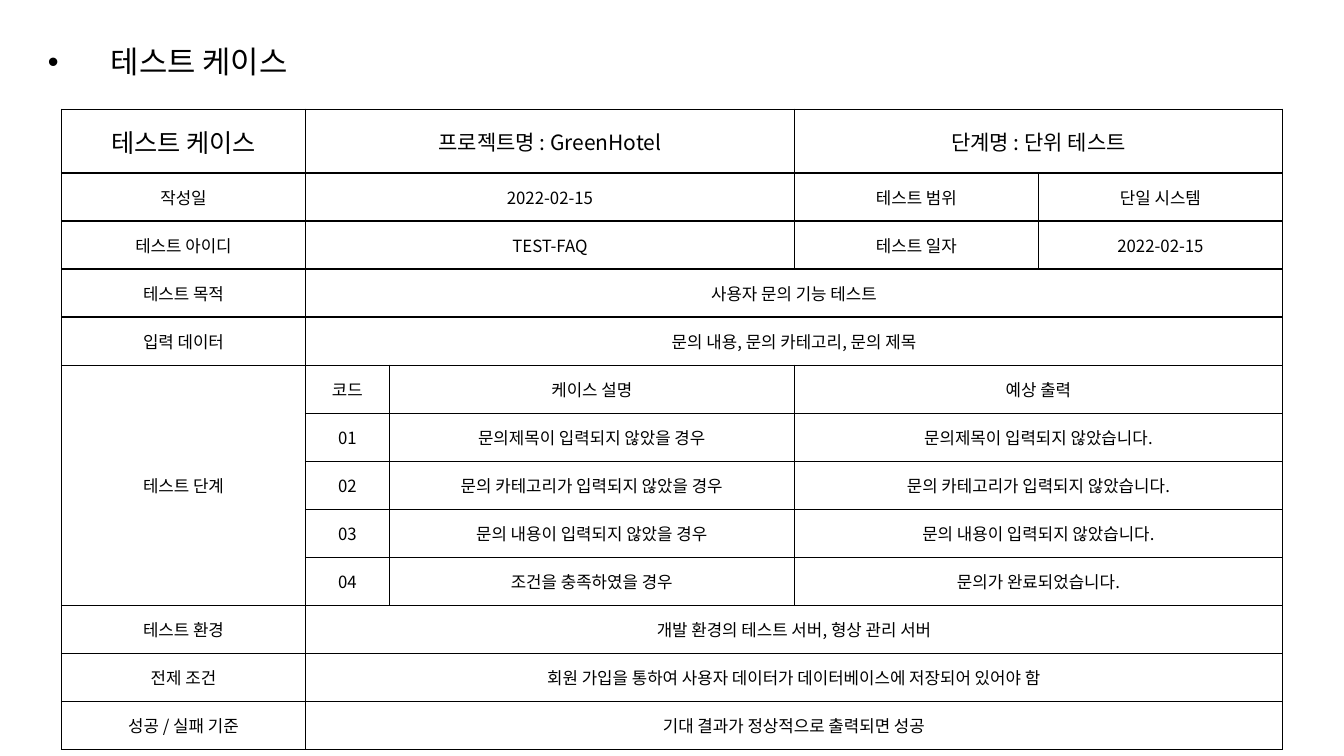
import pptx
import pptx.dml.color
import pptx.enum.text
import pptx.oxml
import pptx.oxml.ns
import pptx.util
from pptx.util import Cm, Pt

BLACK = pptx.dml.color.RGBColor(0x00, 0x00, 0x00)
WHITE = pptx.dml.color.RGBColor(0xFF, 0xFF, 0xFF)
FONT = "Noto Sans CJK KR"
NAMESPACE = pptx.oxml.ns.nsdecls("a")

TITLE_ROW_HEIGHT, ROW_HEIGHT = 1.61, 1.21
COLUMN_WIDTHS = [6.15, 2.11, 10.21, 6.15, 6.15]
TITLE_SIZES = [18, 15, 15, 15, 15]
BODY_SIZE = 12

# LEFT joins a cell to its left neighbour, ABOVE to the one over it
LEFT, ABOVE = "<", "^"


def wide_row(label, value):
    return [label, value, LEFT, LEFT, LEFT]


def step_row(label, code, case, output):
    return [label, code, case, output, LEFT]


ROWS = [
    ["테스트 케이스", "프로젝트명 : GreenHotel", LEFT, "단계명 : 단위 테스트", LEFT],
    ["작성일", "2022-02-15", LEFT, "테스트 범위", "단일 시스템"],
    ["테스트 아이디", "TEST-FAQ", LEFT, "테스트 일자", "2022-02-15"],
    wide_row("테스트 목적", "사용자 문의 기능 테스트"),
    wide_row("입력 데이터", "문의 내용, 문의 카테고리, 문의 제목"),
    step_row("테스트 단계", "코드", "케이스 설명", "예상 출력"),
    step_row(ABOVE, "01", "문의제목이 입력되지 않았을 경우", "문의제목이 입력되지 않았습니다."),
    step_row(ABOVE, "02", "문의 카테고리가 입력되지 않았을 경우", "문의 카테고리가 입력되지 않았습니다."),
    step_row(ABOVE, "03", "문의 내용이 입력되지 않았을 경우", "문의 내용이 입력되지 않았습니다."),
    step_row(ABOVE, "04", "조건을 충족하였을 경우", "문의가 완료되었습니다."),
    wide_row("테스트 환경", "개발 환경의 테스트 서버, 형상 관리 서버"),
    wide_row("전제 조건", "회원 가입을 통하여 사용자 데이터가 데이터베이스에 저장되어 있어야 함"),
    wide_row("성공 / 실패 기준", "기대 결과가 정상적으로 출력되면 성공"),
]


def add_span(para, text, size):
    span = para.add_run()
    span.text = text
    span.font.size = Pt(size)
    span.font.name = FONT
    span.font.color.rgb = BLACK
    east_asian = pptx.oxml.parse_xml(f'<a:ea {NAMESPACE} typeface="{FONT}"/>')
    span.font._element.find(pptx.oxml.ns.qn("a:latin")).addnext(east_asian)


def add_bullet(para, indent):
    properties = para._p.get_or_add_pPr()
    properties.set("marL", str(indent))
    properties.set("indent", str(-indent))
    for xml in ('<a:buFont {} typeface="Arial"/>', '<a:buChar {} char="•"/>'):
        properties.append(pptx.oxml.parse_xml(xml.format(NAMESPACE)))


def place_title(page, text):
    box = page.shapes.title
    box.left, box.top, box.width, box.height = Cm(0.95), Cm(0.45), Cm(30), Cm(2.3)
    frame = box.text_frame
    frame.auto_size = pptx.enum.text.MSO_AUTO_SIZE.NONE
    frame.vertical_anchor = pptx.enum.text.MSO_ANCHOR.MIDDLE
    para = frame.paragraphs[0]
    para.alignment = pptx.enum.text.PP_ALIGN.LEFT
    para.line_spacing = 0.9
    add_bullet(para, Cm(1.59))
    add_span(para, text, 22)


def style_cell(cell):
    cell.vertical_anchor = pptx.enum.text.MSO_ANCHOR.MIDDLE
    cell.fill.solid()
    cell.fill.fore_color.rgb = WHITE
    properties = cell._tc.get_or_add_tcPr()
    for place, side in enumerate("LRTB"):
        border = pptx.oxml.parse_xml(
            f'<a:ln{side} {NAMESPACE} w="{Pt(1)}"><a:solidFill>'
            f'<a:srgbClr val="{BLACK}"/></a:solidFill></a:ln{side}>')
        properties.insert(place, border)


def merge_from(table, row, column):
    """Join a cell with the LEFT or ABOVE marks that follow it."""
    last_row, last_column = row, column
    while last_column + 1 < len(COLUMN_WIDTHS) and ROWS[row][last_column + 1] == LEFT:
        last_column += 1
    while last_row + 1 < len(ROWS) and ROWS[last_row + 1][column] == ABOVE:
        last_row += 1
    if (last_row, last_column) != (row, column):
        table.cell(row, column).merge(table.cell(last_row, last_column))


def add_case_table(page):
    heights = [TITLE_ROW_HEIGHT] + [ROW_HEIGHT] * (len(ROWS) - 1)
    table = page.shapes.add_table(
        len(ROWS), len(COLUMN_WIDTHS), Cm(1.55), Cm(2.75),
        Cm(sum(COLUMN_WIDTHS)), Cm(sum(heights))).table
    table.first_row = table.horz_banding = False
    for column, width in zip(table.columns, COLUMN_WIDTHS):
        column.width = Cm(width)
    for row, height in zip(table.rows, heights):
        row.height = Cm(height)

    for row, texts in enumerate(ROWS):
        for column, text in enumerate(texts):
            cell = table.cell(row, column)
            style_cell(cell)
            if text in (LEFT, ABOVE):
                continue
            para = cell.text_frame.paragraphs[0]
            para.alignment = pptx.enum.text.PP_ALIGN.CENTER
            add_span(para, text, BODY_SIZE if row else TITLE_SIZES[column])
            merge_from(table, row, column)


def main():
    deck = pptx.Presentation()
    deck.slide_width, deck.slide_height = Cm(33.87), Cm(19.05)
    page = deck.slides.add_slide(deck.slide_layouts[5])
    place_title(page, "테스트 케이스")
    add_case_table(page)
    deck.save("out.pptx")


main()
